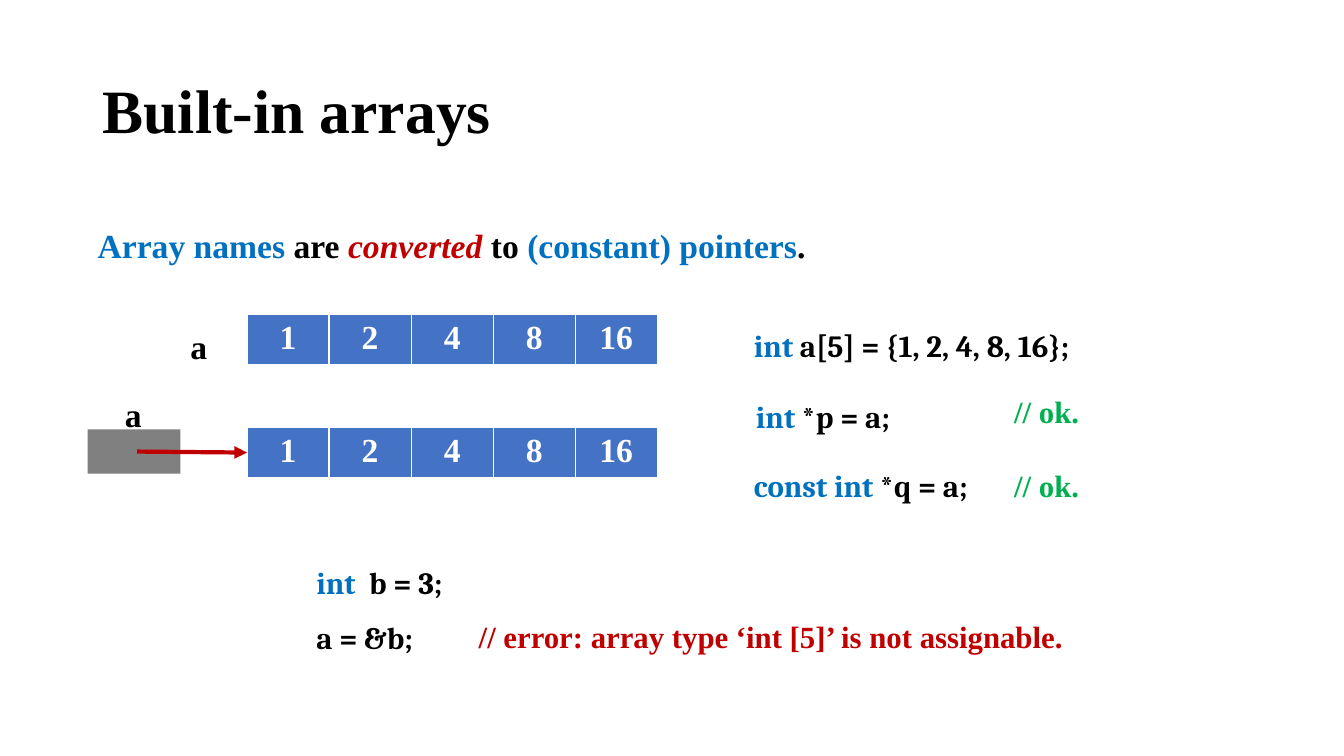
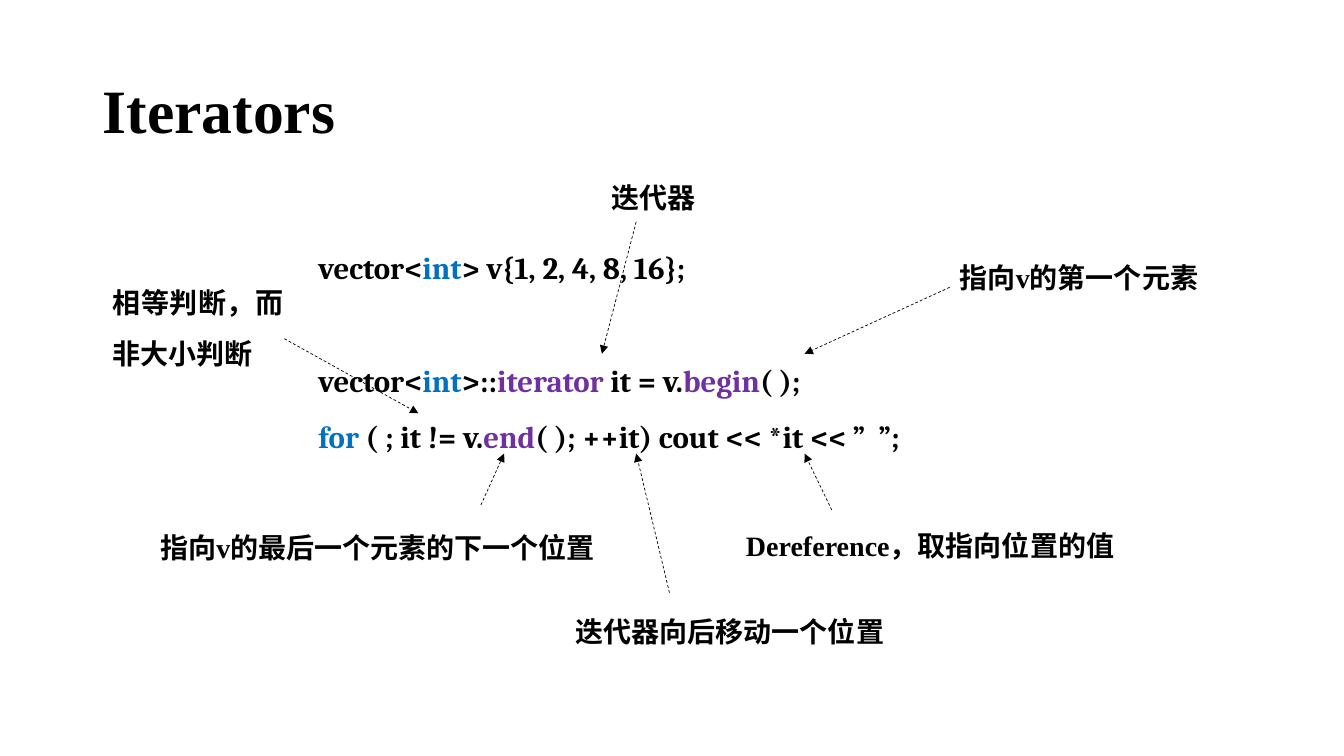
import dataclasses

import lxml.etree
import pptx
import pptx.dml.color
import pptx.enum.dml
import pptx.enum.shapes
import pptx.enum.text
import pptx.oxml.ns
import pptx.util

PX = 9144
qn = pptx.oxml.ns.qn
rgb = pptx.dml.color.RGBColor.from_string


@dataclasses.dataclass(frozen=True)
class Theme:
    black: object = rgb("000000")
    white: object = rgb("FFFFFF")
    blue: object = rgb("0070C0")
    red: object = rgb("C00000")
    green: object = rgb("00B050")
    purple: object = rgb("7030A0")
    gray: object = rgb("808080")
    cell: object = rgb("4472C4")
    serif: str = "Times New Roman"
    code: str = "Cambria"
    chinese: str = "Noto Sans CJK SC"
    title_size: int = 44
    body_size: int = 24
    code_size: int = 22
    note_size: int = 20


THEME = Theme()


class Lecture:
    def __init__(self, theme, width, height):
        self.theme = theme
        self.deck = pptx.Presentation()
        self.deck.slide_width = width * PX
        self.deck.slide_height = height * PX
        self.page = None

    def add_page(self, title):
        self.page = self.deck.slides.add_slide(self.deck.slide_layouts[6])
        box = self.text((92, 40, 1150, 145), [[(title, self.theme.black)]],
                        self.theme.title_size, spacing=0.9, grow=False)
        box.text_frame.vertical_anchor = pptx.enum.text.MSO_ANCHOR.MIDDLE
        box.text_frame.paragraphs[0].alignment = pptx.enum.text.PP_ALIGN.LEFT

    def style(self, span, size, color, font, italic=False):
        span.font.size = pptx.util.Pt(size)
        span.font.name = font
        span.font.bold = True
        span.font.italic = italic
        span.font.color.rgb = color
        if font == self.theme.chinese:
            east = lxml.etree.SubElement(span.font._element, qn("a:ea"))
            east.set("typeface", font)

    def text(self, place, lines, size, font=None, spacing=1.5, grow=True):
        box = self.page.shapes.add_textbox(*(length * PX for length in place))
        frame = box.text_frame
        frame.word_wrap = True
        if grow:
            frame.auto_size = pptx.enum.text.MSO_AUTO_SIZE.SHAPE_TO_FIT_TEXT
        for index, pieces in enumerate(lines):
            para = frame.add_paragraph() if index else frame.paragraphs[0]
            para.alignment = pptx.enum.text.PP_ALIGN.JUSTIFY
            para.line_spacing = spacing
            for words, color, *options in pieces:
                span = para.add_run()
                span.text = words
                face = font or self.theme.serif
                self.style(span, size, color, face, "italic" in options)
        return box

    def body(self, place, *pieces):
        self.text(place, [pieces], self.theme.body_size)

    def code(self, place, *lines, spacing=1.5):
        self.text(place, lines, self.theme.code_size, self.theme.code, spacing)

    def comment(self, place, words, color):
        self.text(place, [[(words, color)]], self.theme.code_size)

    def note(self, place, words, latin=""):
        theme = self.theme
        box = self.text(place, [[(piece, theme.black) for piece in words]],
                        theme.note_size, theme.chinese)
        for span in box.text_frame.paragraphs[0].runs:
            if span.text == latin:
                span.font.name = theme.serif

    def array(self, place, values):
        left, top, width, height = (length * PX for length in place)
        table = self.page.shapes.add_table(
            1, len(values), left, top, width, height).table
        for cell, value in zip(table.iter_cells(), values):
            cell.fill.solid()
            cell.fill.fore_color.rgb = self.theme.cell
            cell.text_frame.text = str(value)
            para = cell.text_frame.paragraphs[0]
            para.alignment = pptx.enum.text.PP_ALIGN.CENTER
            self.style(para.runs[0], self.theme.body_size,
                       self.theme.white, self.theme.serif)

    def block(self, place, color):
        shape = self.page.shapes.add_shape(
            pptx.enum.shapes.MSO_SHAPE.RECTANGLE,
            *(length * PX for length in place))
        shape.shadow.inherit = False
        shape.fill.solid()
        shape.fill.fore_color.rgb = color
        shape.line.fill.background()

    def arrow(self, start, end, color, weight, dashed=False):
        line = self.page.shapes.add_connector(
            pptx.enum.shapes.MSO_CONNECTOR.STRAIGHT,
            *(length * PX for length in start + end))
        line.line.color.rgb = color
        line.line.width = pptx.util.Pt(weight)
        if dashed:
            line.line.dash_style = pptx.enum.dml.MSO_LINE.DASH
        properties = line._element.spPr
        head = lxml.etree.SubElement(properties.find(qn("a:ln")), qn("a:tailEnd"))
        head.set("type", "triangle")
        lxml.etree.SubElement(properties, qn("a:effectLst"))

    def pointer(self, start, end):
        self.arrow(start, end, self.theme.black, 0.5, dashed=True)


def build_arrays(lecture):
    theme = lecture.theme
    black, blue = theme.black, theme.blue
    lecture.add_page("Built-in arrays")
    lecture.body((87, 198, 728, 63), ("Array names", blue), (" are ", black),
                 ("converted", theme.red, "italic"), (" to ", black),
                 ("(constant) pointers", blue), (".", black))

    for left, top in ((179, 298), (114, 366)):
        lecture.body((left, top, 44, 63), ("a", black))
    for top in (312, 424):
        lecture.array((245, top, 407, 50), (1, 2, 4, 8, 16))
    lecture.block((87, 426, 92, 44), theme.gray)
    lecture.arrow((136, 448), (245, 449), theme.red, 3)

    for place, keyword, rest in (
            ((738, 301, 390, 59), "int", " a[5] = {1, 2, 4, 8, 16};"),
            ((740, 371, 167, 59), "int", " *p = a;"),
            ((738, 440, 257, 59), "const int", " *q = a;")):
        lecture.code(place, [(keyword, blue), (rest, black)])
    for top in (366, 440):
        lecture.comment((996, top, 95, 59), "// ok.", theme.green)

    lecture.code((304, 536, 167, 114),
                 [("int", blue), ("  b = 3;", black)], [("a = &b;", black)])
    lecture.comment((465, 590, 613, 59),
                    "// error: array type ‘int [5]’ is not assignable.",
                    theme.red)


def build_iterators(lecture):
    theme = lecture.theme
    black, blue, purple = theme.black, theme.blue, theme.purple
    lecture.add_page("Iterators")
    lecture.code((306, 233, 469, 52),
                 [("vector<", black), ("int", blue),
                  ("> v{1, 2, 4, 8, 16};", black)],
                 spacing=pptx.util.Pt(32.8))
    lecture.code((306, 336, 649, 114),
                 [("vector<", black), ("int", blue), (">::", black),
                  ("iterator", purple), (" it = v.", black),
                  ("begin", purple), ("( );", black)],
                 [("for", blue), (" ( ; it != v.", black), ("end", purple),
                  ("( ); ++it) cout << *it << ”  ”;", black)])

    for place, words, latin, start, end in (
            ((597, 158, 123, 53), ["迭代器"], "", (631, 220), (597, 351)),
            ((942, 237, 291, 54), ["指向", "v", "的第一个元素"], "v",
             (942, 285), (798, 351)),
            ((149, 505, 518, 54), ["指向", "v", "的最后一个元素的下一个位置"], "v",
             (477, 501), (500, 450)),
            ((561, 588, 369, 53), ["迭代器向后移动一个位置"], "",
             (664, 588), (631, 450)),
            ((730, 503, 454, 54), ["Dereference", "，取指向位置的值"],
             "Dereference", (825, 506), (798, 450)),
            ((102, 262, 189, 103), ["相等判断，而非大小判断"], "",
             (282, 336), (415, 410))):
        lecture.note(place, words, latin)
        lecture.pointer(start, end)


def main():
    lecture = Lecture(THEME, 1333, 750)
    build_arrays(lecture)
    build_iterators(lecture)
    lecture.deck.save("out.pptx")


if __name__ == "__main__":
    main()
